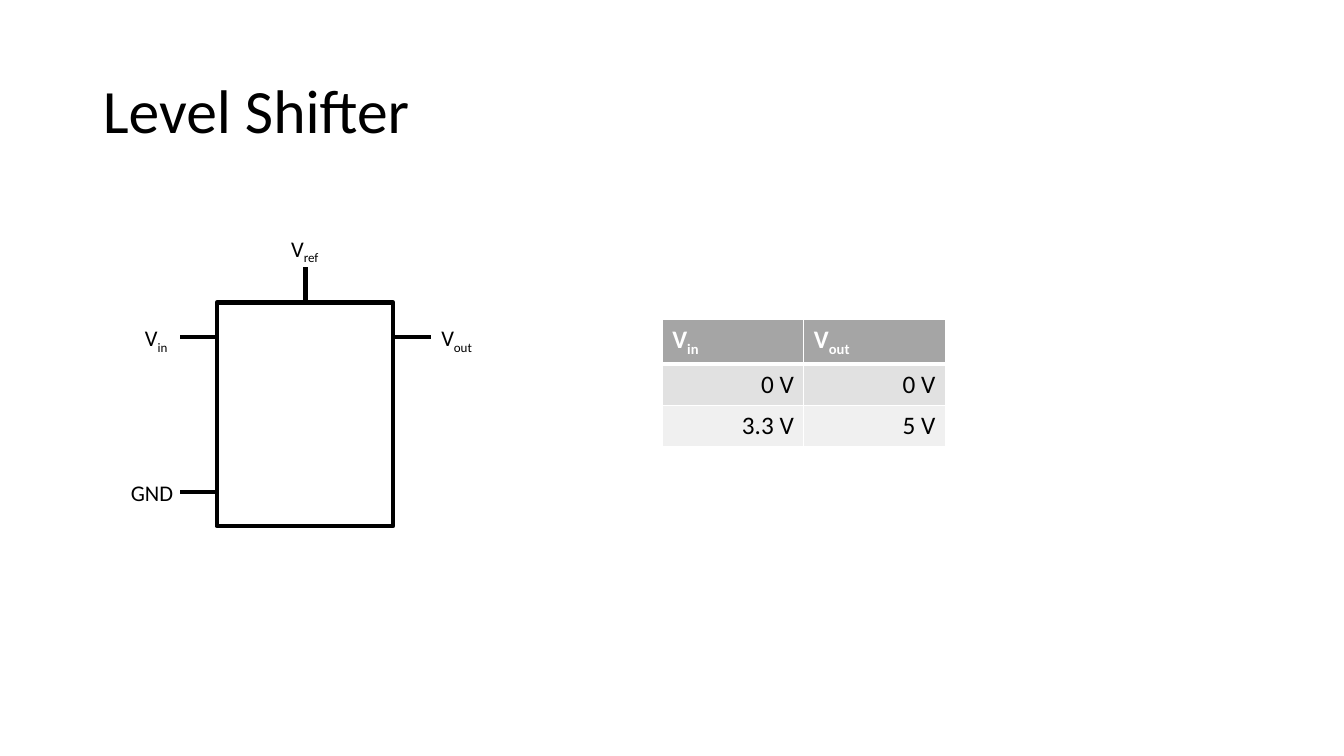
from dataclasses import dataclass

from lxml import etree
from pptx import Presentation
from pptx.dml.color import RGBColor
from pptx.enum.shapes import MSO_CONNECTOR, MSO_SHAPE
from pptx.enum.text import MSO_ANCHOR, MSO_AUTO_SIZE, PP_ALIGN
from pptx.oxml.ns import qn
from pptx.util import Inches, Pt

STRAIGHT = MSO_CONNECTOR.STRAIGHT
RECTANGLE = MSO_SHAPE.RECTANGLE
MIDDLE = MSO_ANCHOR.MIDDLE
NO_AUTOFIT = MSO_AUTO_SIZE.NONE
GROW = MSO_AUTO_SIZE.SHAPE_TO_FIT_TEXT
LEFT, RIGHT = PP_ALIGN.LEFT, PP_ALIGN.RIGHT

FONT = "Calibri"
BLACK, WHITE = "000000", "FFFFFF"
HEADER_FILL = "A5A5A5"
BAND_FILLS = ["E1E1E1", "F0F0F0"]
CELL = 0.1  # inches per grid column and row
STROKE = 3


@dataclass
class Pin:
    """A chip pin: its line and its label, in grid columns and rows."""
    name: str
    subscript: str
    start: tuple[float, float]
    end: tuple[float, float]
    label_at: tuple[float, float]
    label_width: float = 5.6


PINS = [
    Pin("V", "in", (17.9, 33.4), (21.5, 33.4), (13.4, 31.7)),
    Pin("GND", "", (17.9, 48.8), (21.5, 48.8), (12, 47), 6.4),
    Pin("V", "out", (39.1, 33.4), (42.8, 33.4), (42.8, 31.7)),
    Pin("V", "ref", (30.3, 30), (30.3, 26.5), (27.9, 22.8)),
]
LEVELS = [
    [("V", "in"), ("V", "out")],
    [("0 V", ""), ("0 V", "")],
    [("3.3 V", ""), ("5 V", "")],
]
ROW_HEIGHTS = [3.3, 4.1, 4.1]


def grid(*cells: float) -> list[int]:
    return [Inches(cell * CELL) for cell in cells]


def rgb(color: str) -> RGBColor:
    return RGBColor.from_string(color)


def add_span(para, text: str, size: int, color: str = BLACK, bold: bool = False,
             subscript: bool = False) -> None:
    span = para.add_run()
    span.text = text
    font = span.font
    font.name, font.size, font.bold = FONT, Pt(size), bold
    font.color.rgb = rgb(color)
    if subscript:
        span._r.get_or_add_rPr().set("baseline", "-25000")


def write_symbol(para, name: str, subscript: str, size: int,
                 color: str = BLACK, bold: bool = False) -> None:
    add_span(para, name, size, color, bold)
    if subscript:
        add_span(para, subscript, size, color, bold, subscript=True)


def style_line(line) -> None:
    line.color.rgb = rgb(BLACK)
    line.width = Pt(STROKE)


def add_title(page) -> None:
    title = page.shapes.title
    title.left, title.top, title.width, title.height = grid(9.2, 4, 115, 14.5)
    frame = title.text_frame
    frame.auto_size = NO_AUTOFIT
    frame.vertical_anchor = MIDDLE
    para = frame.paragraphs[0]
    para.alignment = LEFT
    para.line_spacing = 0.9
    add_span(para, "Level Shifter", 44)


def add_pin(diagram, pin: Pin) -> None:
    wire = diagram.shapes.add_connector(STRAIGHT, *grid(*pin.start, *pin.end))
    style_line(wire.line)
    etree.SubElement(wire._element.spPr, qn("a:effectLst"))
    label = diagram.shapes.add_textbox(*grid(*pin.label_at, pin.label_width, 3.7))
    frame = label.text_frame
    frame.word_wrap = True
    frame.auto_size = GROW
    write_symbol(frame.paragraphs[0], pin.name, pin.subscript, 16)


def add_diagram(page) -> None:
    diagram = page.shapes.add_group_shape()
    chip = diagram.shapes.add_shape(RECTANGLE, *grid(21.5, 30, 17.5, 22.2))
    chip.shadow.inherit = False
    chip.fill.solid()
    chip.fill.fore_color.rgb = rgb(WHITE)
    style_line(chip.line)
    for pin in PINS:
        add_pin(diagram, pin)


def add_borders(cell, widths: dict[str, int]) -> None:
    properties = cell._tc.get_or_add_tcPr()
    for position, (side, width) in enumerate(widths.items()):
        border = etree.Element(qn(f"a:ln{side}"), w=str(Pt(width)))
        fill = etree.SubElement(border, qn("a:solidFill"))
        etree.SubElement(fill, qn("a:srgbClr"), val=WHITE)
        properties.insert(position, border)


def add_level_table(page) -> None:
    frame = page.shapes.add_table(len(LEVELS), len(LEVELS[0]),
                                  *grid(65.7, 31.7, 28.1, sum(ROW_HEIGHTS)))
    table = frame.table
    for row, (height, symbols) in enumerate(zip(ROW_HEIGHTS, LEVELS)):
        table.rows[row].height = grid(height)[0]
        header = row == 0
        for column, (name, subscript) in enumerate(symbols):
            cell = table.cell(row, column)
            cell.fill.solid()
            cell.fill.fore_color.rgb = rgb(HEADER_FILL if header else BAND_FILLS[row - 1])
            top = STROKE if row == 1 else 1
            bottom = STROKE if header else 1
            add_borders(cell, {"L": 1, "R": 1, "T": top, "B": bottom})
            para = cell.text_frame.paragraphs[0]
            para.alignment = LEFT if header else RIGHT
            write_symbol(para, name, subscript, 18, WHITE if header else BLACK, header)


def main() -> None:
    deck = Presentation()
    deck.slide_width, deck.slide_height = grid(133.33, 75)
    page = deck.slides.add_slide(deck.slide_layouts[5])  # title only
    add_title(page)
    add_diagram(page)
    add_level_table(page)
    deck.save("out.pptx")


if __name__ == "__main__":
    main()
